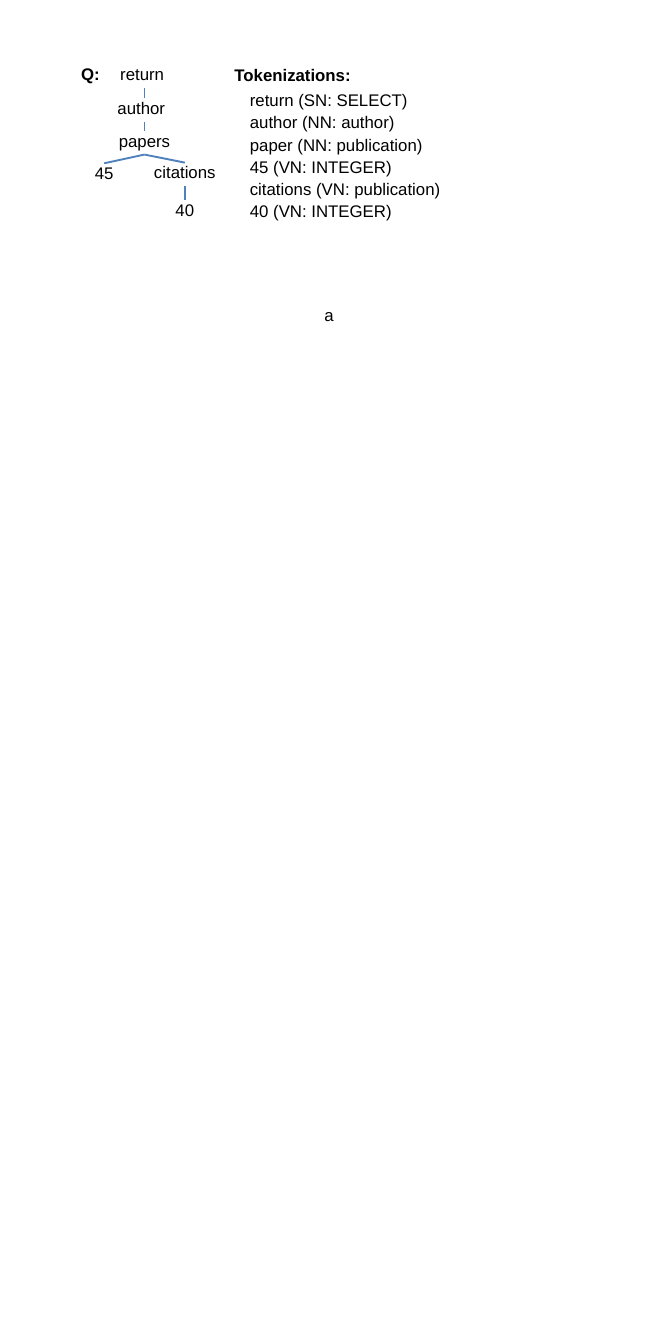
import dataclasses

import pptx
import pptx.dml.color
import pptx.enum.shapes
import pptx.enum.text
import pptx.oxml
import pptx.oxml.ns
import pptx.util

COLUMNS, ROWS = 10, 20
LEFT = pptx.enum.text.PP_ALIGN.LEFT
CENTER = pptx.enum.text.PP_ALIGN.CENTER


@dataclasses.dataclass(frozen=True)
class Theme:
    """Type, colours and line width of the slide."""

    font: str = "Arial"
    size: int = 18
    ink: str = "000000"
    branch: str = "4F81BD"
    branch_width: int = 2


@dataclasses.dataclass(frozen=True)
class Node:
    """A word of the query tree, placed by its top centre in grid units."""

    word: str
    center: float
    top: float
    parent: str = ""
    width: float = 1.33
    align: int = CENTER


THEME = Theme()
NODE_HEIGHT = 0.35
NODES = (
    Node("return", 2.15, 0.96, width=0.92, align=LEFT),
    Node("author", 2.15, 1.46, "return", width=1, align=LEFT),
    Node("papers", 2.15, 1.95, "author"),
    Node("45", 1.55, 2.43, "papers"),
    Node("citations", 2.75, 2.42, "papers"),
    Node("40", 2.75, 2.98, "citations"),
)
TOKENS = (
    "return (SN: SELECT)",
    "author (NN: author)",
    "paper (NN: publication)",
    "45 (VN: INTEGER)",
    "citations (VN: publication)",
    "40 (VN: INTEGER)",
)


def grid(*cells):
    """Turn columns or rows of one inch into slide lengths."""
    return [pptx.util.Inches(cell) for cell in cells]


def add_text(page, lines, area, *, bold=False, align=LEFT, spacing=1.0, wrap=True):
    """Write one paragraph per line in a box at left, top, width, height."""
    box = page.shapes.add_textbox(*grid(*area))
    frame = box.text_frame
    frame.word_wrap = wrap
    frame.auto_size = pptx.enum.text.MSO_AUTO_SIZE.SHAPE_TO_FIT_TEXT
    frame.text = "\n".join(lines)
    for para in frame.paragraphs:
        para.alignment = align
        para.line_spacing = spacing
        for span in para.runs:
            span.font.name = THEME.font
            span.font.size = pptx.util.Pt(THEME.size)
            span.font.bold = bold
            span.font.color.rgb = pptx.dml.color.RGBColor.from_string(THEME.ink)


def add_branch(page, parent, child):
    """Join the foot of a parent to the head of its child."""
    ends = grid(parent.center, parent.top + NODE_HEIGHT, child.center, child.top)
    branch = page.shapes.add_connector(
        pptx.enum.shapes.MSO_CONNECTOR.STRAIGHT, *ends)
    branch.line.color.rgb = pptx.dml.color.RGBColor.from_string(THEME.branch)
    branch.line.width = pptx.util.Pt(THEME.branch_width)
    properties = branch._element.spPr
    properties.append(pptx.oxml.parse_xml(
        "<a:effectLst %s/>" % pptx.oxml.ns.nsdecls("a")))


def add_tree(page, nodes):
    """Draw every node and the branch to its parent."""
    by_word = {node.word: node for node in nodes}
    for node in nodes:
        if node.parent:
            add_branch(page, by_word[node.parent], node)
        area = (node.center - node.width / 2, node.top, node.width, NODE_HEIGHT)
        add_text(page, [node.word], area, align=node.align, spacing=0.8)


def main():
    """Build the query tree beside its tokenizations."""
    deck = pptx.Presentation()
    deck.slide_width, deck.slide_height = grid(COLUMNS, ROWS)
    page = deck.slides.add_slide(deck.slide_layouts.get_by_name("Blank"))
    add_tree(page, NODES)
    add_text(page, TOKENS, (3.62, 1.26, 3.83, 2.1), spacing=1.1)
    add_text(page, ["Q:"], (1.11, 0.9, 0.48, 0.4), bold=True, wrap=False)
    add_text(page, ["Tokenizations:"], (3.39, 0.91, 1.95, 0.4), bold=True, wrap=False)
    add_text(page, ["a"], (4.73, 4.48, 0.34, 0.4), wrap=False)
    deck.save("out.pptx")


main()
